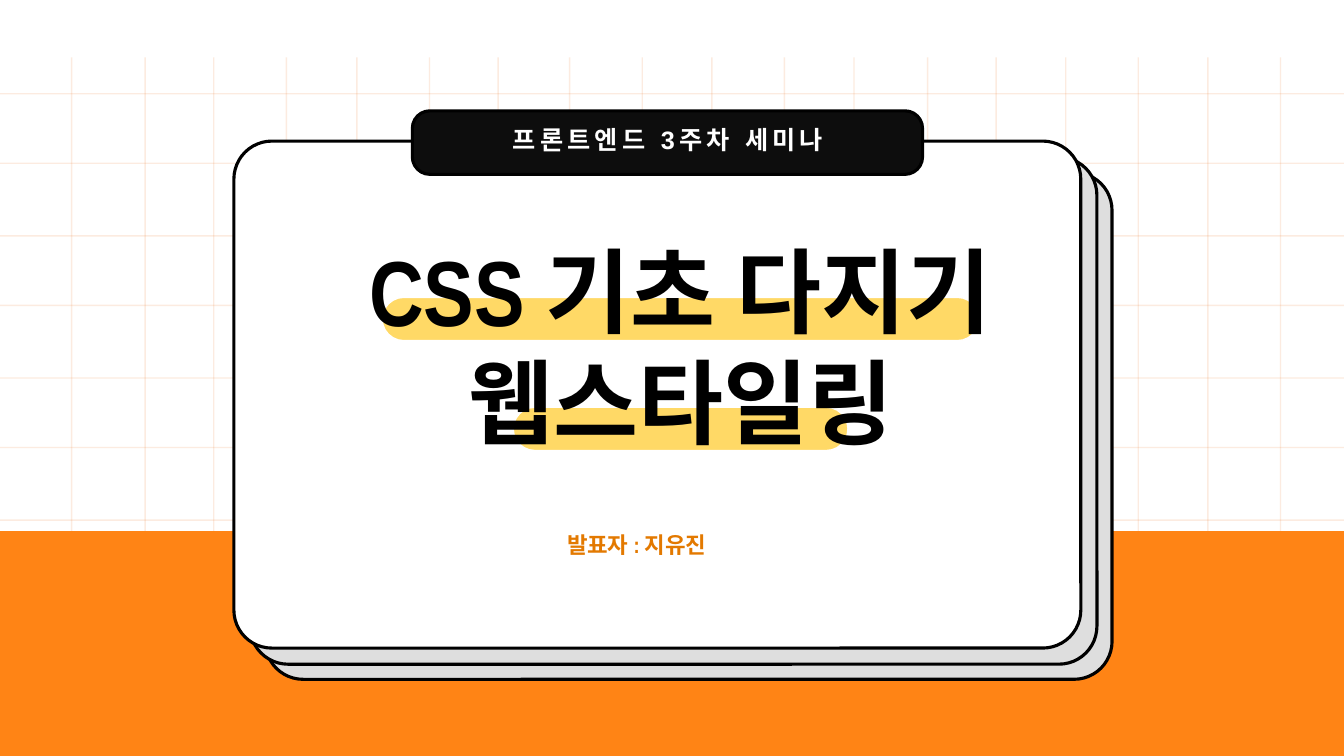
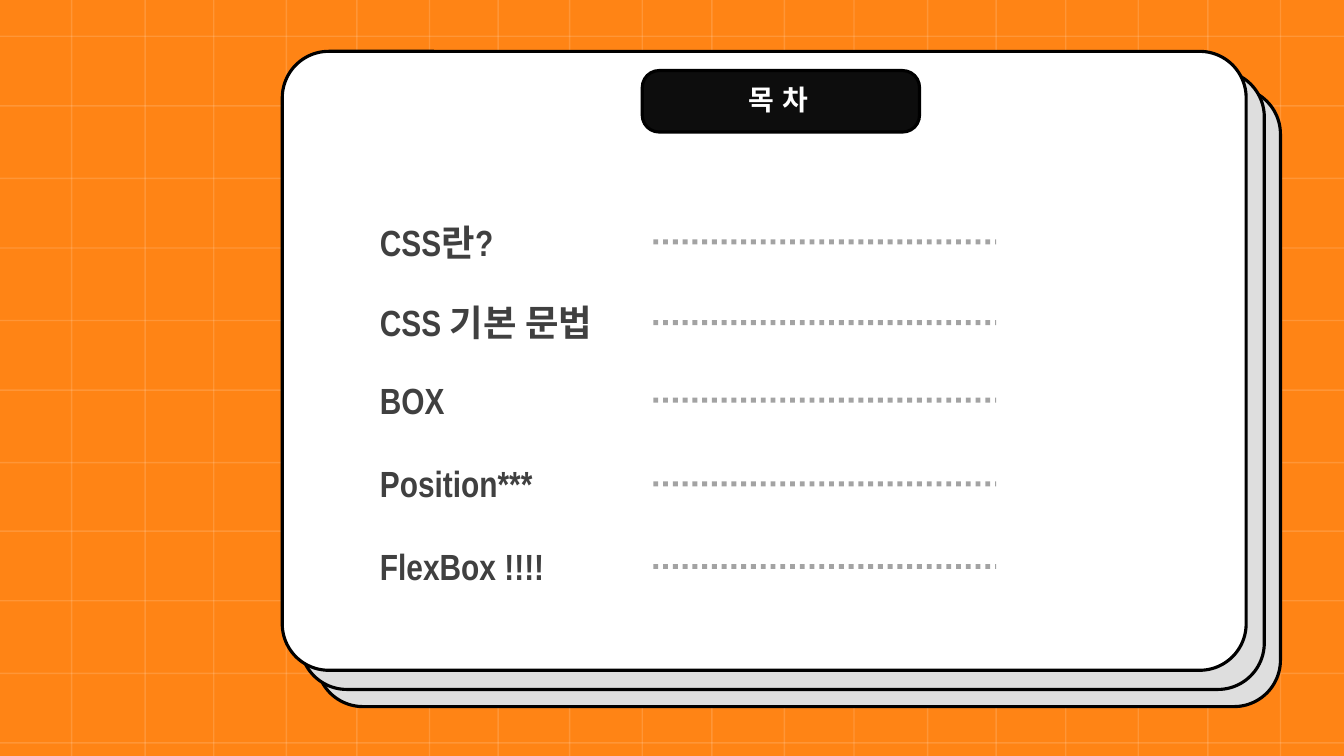
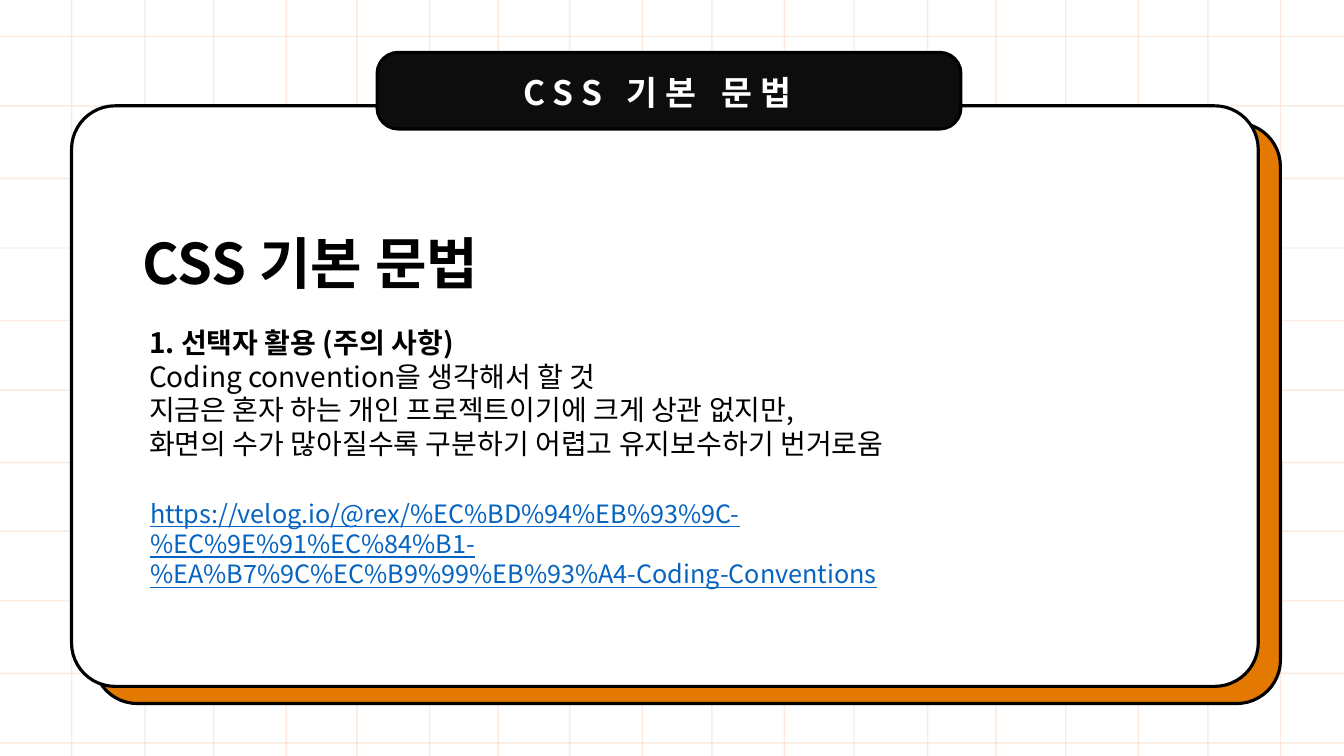
"""Build a three-slide CSS seminar deck: cover, contents and basic syntax."""
import pptx
import pptx.dml.color
import pptx.enum.dml
import pptx.enum.shapes
import pptx.enum.text
import pptx.oxml.ns
import pptx.util
from lxml import etree

RGBColor = pptx.dml.color.RGBColor
WHITE = RGBColor(0xFF, 0xFF, 0xFF)
BLACK = RGBColor(0x00, 0x00, 0x00)
INK = RGBColor(0x0D, 0x0D, 0x0D)
DARK_GRAY = RGBColor(0x40, 0x40, 0x40)
DOT_GRAY = RGBColor(0x59, 0x59, 0x59)
LIGHT_GRAY = RGBColor(0xDE, 0xDE, 0xDE)
ORANGE = RGBColor(0xFF, 0x84, 0x15)
DEEP_ORANGE = RGBColor(0xE3, 0x79, 0x00)
GRID_ORANGE = RGBColor(0xED, 0x7D, 0x31)
YELLOW = RGBColor(0xFF, 0xD9, 0x66)
LINK_BLUE = RGBColor(0x05, 0x63, 0xC1)

EMU_PER_PX = 9144
WIDTH, HEIGHT = 1333, 750
COLUMNS = [71, 144, 212, 284, 354, 426, 494, 565, 637,
           706, 778, 847, 920, 988, 1057, 1129, 1198, 1270]
ROWS = [36, 105, 177, 246, 318, 387, 459, 527, 596, 668, 737]
ARIAL, NARROW, NOTO = "Arial", "Arial Narrow", "Noto Sans CJK KR"
LEFT = pptx.enum.text.PP_ALIGN.LEFT
CENTER = pptx.enum.text.PP_ALIGN.CENTER
SQUARE_DOT = pptx.enum.dml.MSO_LINE.ROUND_DOT

PANEL = {"corner": 0.075, "outline": BLACK, "weight": 2.25}
BADGE = {"corner": 0.275, "outline": BLACK, "weight": 2.25}
MARKER = {"corner": 0.5, "outline": WHITE, "weight": 1}
BAND = {"corner": None, "outline": None, "weight": 0}

AGENDA = [("CSS란?", 213), ("CSS 기본 문법", 293), ("BOX", 370),
          ("Position***", 453), ("FlexBox !!!!", 535)]
AGENDA_FORMAT = {"name": NARROW, "size": 26, "color": DARK_GRAY, "bold": True}
BODY_FORMAT = {"name": NOTO, "size": 20, "color": BLACK, "bold": False}

SLIDES = [
    {
        "background": WHITE, "grid": GRID_ORANGE, "grid_top": 57, "grid_bottom": 527,
        "shapes": [
            ((0, 527, 1333, 223), ORANGE, BAND),
            ((263, 171, 840, 503), LIGHT_GRAY, PANEL),
            ((248, 156, 840, 503), LIGHT_GRAY, PANEL),
            ((232, 140, 840, 503), WHITE, PANEL),
            ((409, 110, 506, 63), INK, BADGE),
            ((379, 295, 592, 43), YELLOW, MARKER),
            ((509, 404, 332, 43), YELLOW, MARKER),
        ],
        "leaders": [],
        "texts": [
            ((423, 118, 479, 40), CENTER, 3, [
                ("프론트엔드 3주차 세미나",
                 {"name": ARIAL, "size": 18, "color": WHITE, "bold": True})]),
            ((341, 227, 668, 233), CENTER, 0, [
                (line, {"name": NARROW, "size": 66, "color": BLACK, "bold": True})
                for line in ("CSS 기초 다지기", "웹스타일링")]),
            ((506, 522, 251, 37), CENTER, 0, [
                ("발표자 : 지유진",
                 {"name": NARROW, "size": 16, "color": DEEP_ORANGE, "bold": True})]),
        ],
    },
    {
        "background": ORANGE, "grid": WHITE, "grid_top": 0, "grid_bottom": HEIGHT,
        "shapes": [
            ((314, 87, 956, 614), LIGHT_GRAY, PANEL),
            ((298, 70, 956, 614), LIGHT_GRAY, PANEL),
            ((280, 51, 956, 614), WHITE, PANEL),
            ((637, 70, 275, 61), INK, BADGE),
        ],
        "leaders": [top + 27 for label, top in AGENDA],
        "texts": [
            ((664, 77, 216, 44), CENTER, 6, [
                ("목차", {"name": NOTO, "size": 20, "color": WHITE, "bold": True})]),
        ] + [((367, top, 272, 54), LEFT, 0, [(label, AGENDA_FORMAT)])
             for label, top in AGENDA],
    },
    {
        "background": WHITE, "grid": GRID_ORANGE, "grid_top": 0, "grid_bottom": HEIGHT,
        "shapes": [
            ((93, 122, 1177, 576), DEEP_ORANGE, PANEL),
            ((71, 105, 1177, 576), WHITE, PANEL),
            ((374, 52, 579, 76), INK, BADGE),
        ],
        "leaders": [],
        "texts": [
            ((425, 66, 454, 50), CENTER, 6, [
                ("CSS 기본 문법", {"name": NOTO, "size": 24, "color": WHITE, "bold": True})]),
            ((132, 222, 463, 77), LEFT, 0, [
                ("CSS 기본 문법", {"name": NOTO, "size": 40, "color": BLACK, "bold": True})]),
            ((138, 318, 928, 145), LEFT, 0, [
                ("1. 선택자 활용 (주의 사항)", {**BODY_FORMAT, "bold": True}),
                ("Coding convention을 생각해서 할 것", BODY_FORMAT),
                ("지금은 혼자 하는 개인 프로젝트이기에 크게 상관 없지만,", BODY_FORMAT),
                ("화면의 수가 많아질수록 구분하기 어렵고 유지보수하기 번거로움", BODY_FORMAT)]),
            ((139, 489, 785, 101), LEFT, 0, [
                ("https://velog.io/@rex/%EC%BD%94%EB%93%9C-%EC%9E%91%EC%84%B1-"
                 "%EA%B7%9C%EC%B9%99%EB%93%A4-Coding-Conventions",
                 {"name": NOTO, "size": 18, "color": LINK_BLUE, "underline": True})]),
        ],
    },
]


def add_line(slide, ends, color, weight, opacity, dash=None):
    """Draw a translucent straight line between two points."""
    line = slide.shapes.add_connector(
        pptx.enum.shapes.MSO_CONNECTOR.STRAIGHT, *[value * EMU_PER_PX for value in ends])
    line.line.color.rgb = color
    line.line.width = pptx.util.Pt(weight)
    if dash is not None:
        line.line.dash_style = dash
    properties = line._element.spPr
    for color_element in properties.iter(pptx.oxml.ns.qn("a:srgbClr")):
        etree.SubElement(color_element, pptx.oxml.ns.qn("a:alpha"), val=str(opacity * 1000))
    etree.SubElement(properties, pptx.oxml.ns.qn("a:effectLst"))


def add_text(slide, box, alignment, spacing, paragraphs):
    """Add a text box with one formatted run per paragraph."""
    frame = slide.shapes.add_textbox(*[value * EMU_PER_PX for value in box]).text_frame
    frame.word_wrap = True
    for index, (text, text_format) in enumerate(paragraphs):
        paragraph = frame.add_paragraph() if index else frame.paragraphs[0]
        paragraph.alignment = alignment
        run = paragraph.add_run()
        run.text = text
        values = dict(text_format)
        run.font.color.rgb = values.pop("color")
        values["size"] = pptx.util.Pt(values["size"])
        for attribute, value in values.items():
            setattr(run.font, attribute, value)
        run_properties = run._r.get_or_add_rPr()
        etree.SubElement(run_properties, pptx.oxml.ns.qn("a:ea"), typeface=values["name"])
        if spacing:
            run_properties.set("spc", str(spacing * 100))


presentation = pptx.Presentation()
presentation.slide_width = WIDTH * EMU_PER_PX
presentation.slide_height = HEIGHT * EMU_PER_PX

for content in SLIDES:
    slide = presentation.slides.add_slide(presentation.slide_layouts[6])
    slide.background.fill.solid()
    slide.background.fill.fore_color.rgb = content["background"]

    top, bottom = content["grid_top"], content["grid_bottom"]
    for row in ROWS:
        if top + row < bottom:
            add_line(slide, (0, top + row, WIDTH, top + row), content["grid"], 1, 15)
    for column in COLUMNS:
        add_line(slide, (column, top, column, bottom), content["grid"], 1, 15)

    for box, fill, style in content["shapes"]:
        rounded = style["corner"] is not None
        preset = pptx.enum.shapes.MSO_SHAPE.ROUNDED_RECTANGLE if rounded else pptx.enum.shapes.MSO_SHAPE.RECTANGLE
        shape = slide.shapes.add_shape(preset, *[value * EMU_PER_PX for value in box])
        shape.shadow.inherit = False
        shape.fill.solid()
        shape.fill.fore_color.rgb = fill
        if rounded:
            shape.adjustments[0] = style["corner"]
            shape.line.color.rgb = style["outline"]
            shape.line.width = pptx.util.Pt(style["weight"])
        else:
            shape.line.fill.background()

    for leader in content["leaders"]:
        add_line(slide, (648, leader, 988, leader), DOT_GRAY, 3.5, 55, SQUARE_DOT)

    for box, alignment, spacing, paragraphs in content["texts"]:
        add_text(slide, box, alignment, spacing, paragraphs)

presentation.save("out.pptx")
